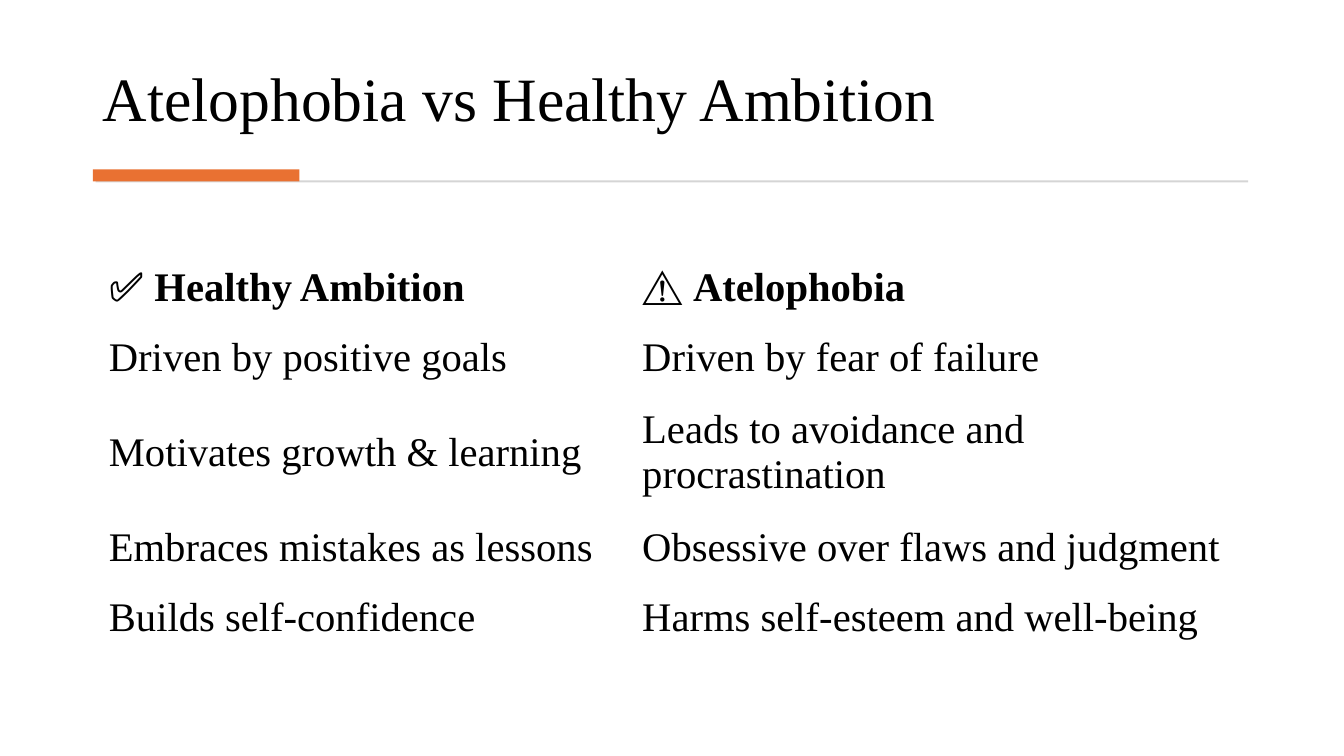
from pptx import Presentation
from pptx.dml.color import RGBColor
from pptx.enum.shapes import MSO_SHAPE as Shape
from pptx.enum.text import MSO_ANCHOR as Anchor
from pptx.util import Inches, Pt

BLACK = RGBColor(0x00, 0x00, 0x00)
GRAY = RGBColor(0xD5, 0xD5, 0xD5)
ORANGE = RGBColor(0xE9, 0x71, 0x32)
FONT = "Times New Roman"

HEADINGS = [("✅ ", "Healthy Ambition"), ("⚠️ ", "Atelophobia")]
COMPARISONS = [
    ("Driven by positive goals", "Driven by fear of failure"),
    ("Motivates growth & learning", "Leads to avoidance and procrastination"),
    ("Embraces mistakes as lessons", "Obsessive over flaws and judgment"),
    ("Builds self-confidence", "Harms self-esteem and well-being"),
]
COLUMN_WIDTHS = [5.29, 6.21]
ROW_HEIGHTS = [0.7, 0.7, 1.18, 0.7, 0.7]


def style_font(para, size):
    para.font.name = FONT
    para.font.size = Pt(size)
    para.font.color.rgb = BLACK


def add_title(page, text, left, top, width, height):
    box = page.shapes.add_textbox(Inches(left), Inches(top), Inches(width), Inches(height))
    frame = box.text_frame
    frame.word_wrap = True
    frame.vertical_anchor = Anchor.BOTTOM
    para = frame.paragraphs[0]
    para.text = text
    para.line_spacing = 0.9
    style_font(para, 44)


def add_bar(page, color, left, top, width, height):
    bar = page.shapes.add_shape(
        Shape.RECTANGLE, Inches(left), Inches(top), Inches(width), Inches(height))
    bar.shadow.inherit = False
    bar.fill.solid()
    bar.fill.fore_color.rgb = color
    bar.line.fill.background()


def add_divider(page, left, top, width):
    add_bar(page, GRAY, left + 0.03, top + 0.11, width - 0.06, 0.02)
    add_bar(page, ORANGE, left, top, 2.05, 0.12)


def fill_cell(cell, spans):
    cell.fill.background()
    cell.vertical_anchor = Anchor.MIDDLE
    cell.margin_left = cell.margin_right = Inches(0.16)
    cell.margin_top = cell.margin_bottom = Inches(0.08)
    para = cell.text_frame.paragraphs[0]
    for text, bold in spans:
        span = para.add_run()
        span.text = text
        span.font.bold = bold
    style_font(para, 29)


def add_comparison(page, left, top, width, height):
    rows = [[[(icon, False), (name, True)] for icon, name in HEADINGS]]
    rows += [[[(text, False)] for text in pair] for pair in COMPARISONS]
    table = page.shapes.add_table(
        len(rows), len(HEADINGS),
        Inches(left), Inches(top), Inches(width), Inches(height)).table
    table.first_row = False
    table.horz_banding = False
    for column, column_width in zip(table.columns, COLUMN_WIDTHS):
        column.width = Inches(column_width)
    for row, row_height, contents in zip(table.rows, ROW_HEIGHTS, rows):
        row.height = Inches(row_height)
        for cell, spans in zip(row.cells, contents):
            fill_cell(cell, spans)


def main():
    deck = Presentation()
    deck.slide_width = Inches(13.33)
    deck.slide_height = Inches(7.5)
    page = deck.slides.add_slide(deck.slide_layouts[6])
    add_title(page, "Atelophobia vs Healthy Ambition", 0.92, 0.28, 11.49, 1.11)
    add_divider(page, 0.92, 1.68, 11.49)
    add_comparison(page, 0.92, 2.5, sum(COLUMN_WIDTHS), sum(ROW_HEIGHTS))
    deck.save("out.pptx")


if __name__ == "__main__":
    main()
